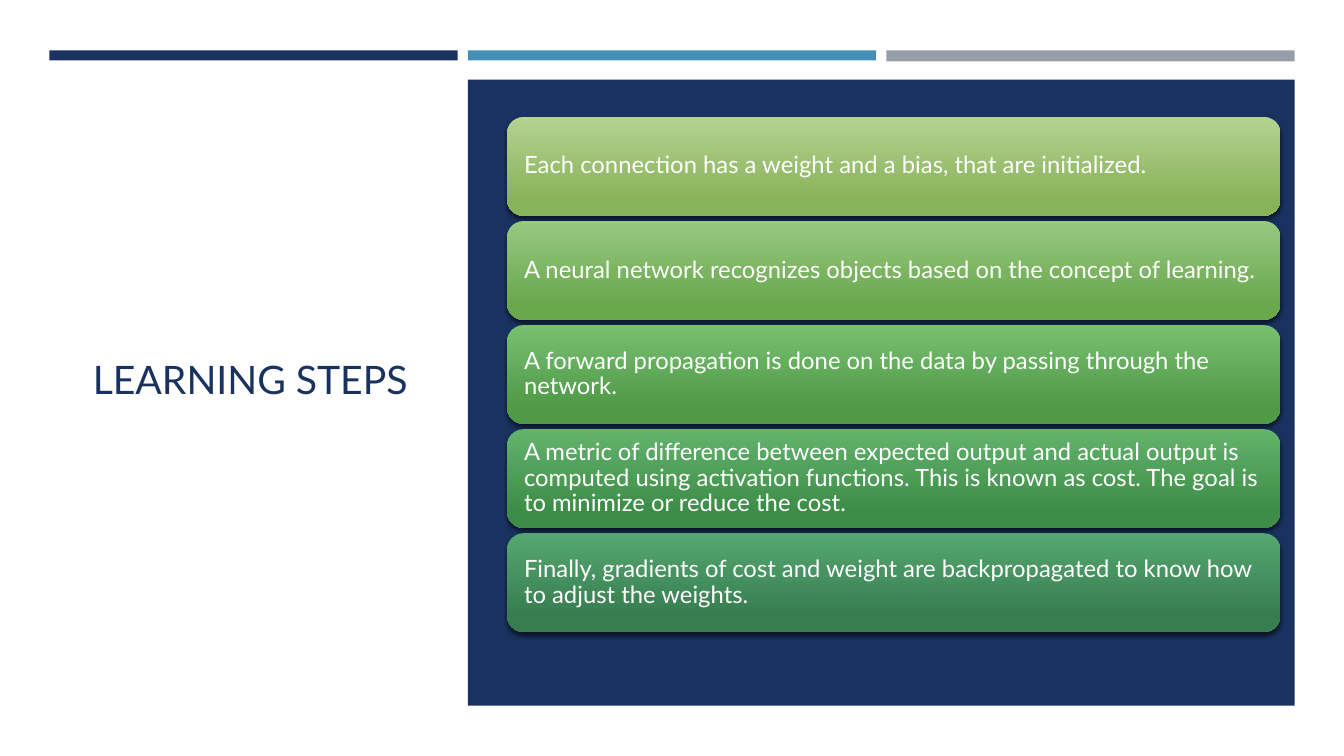
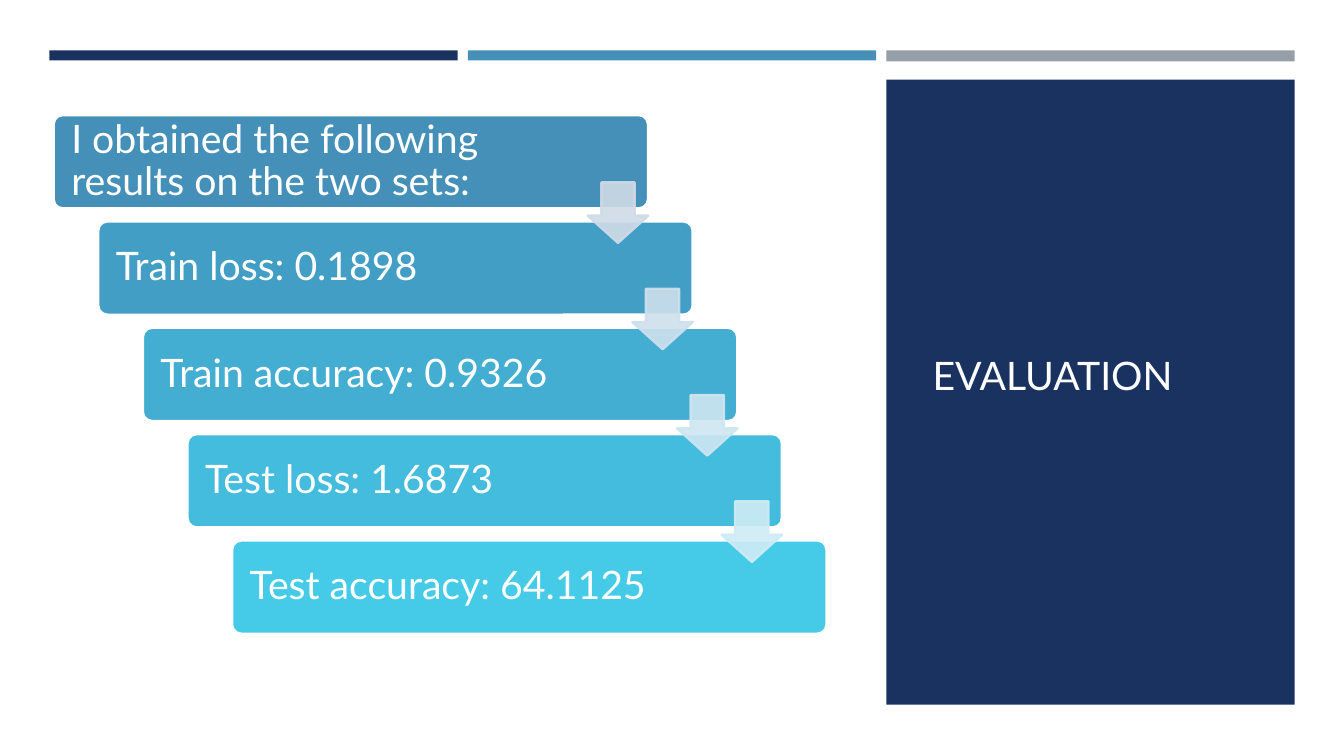
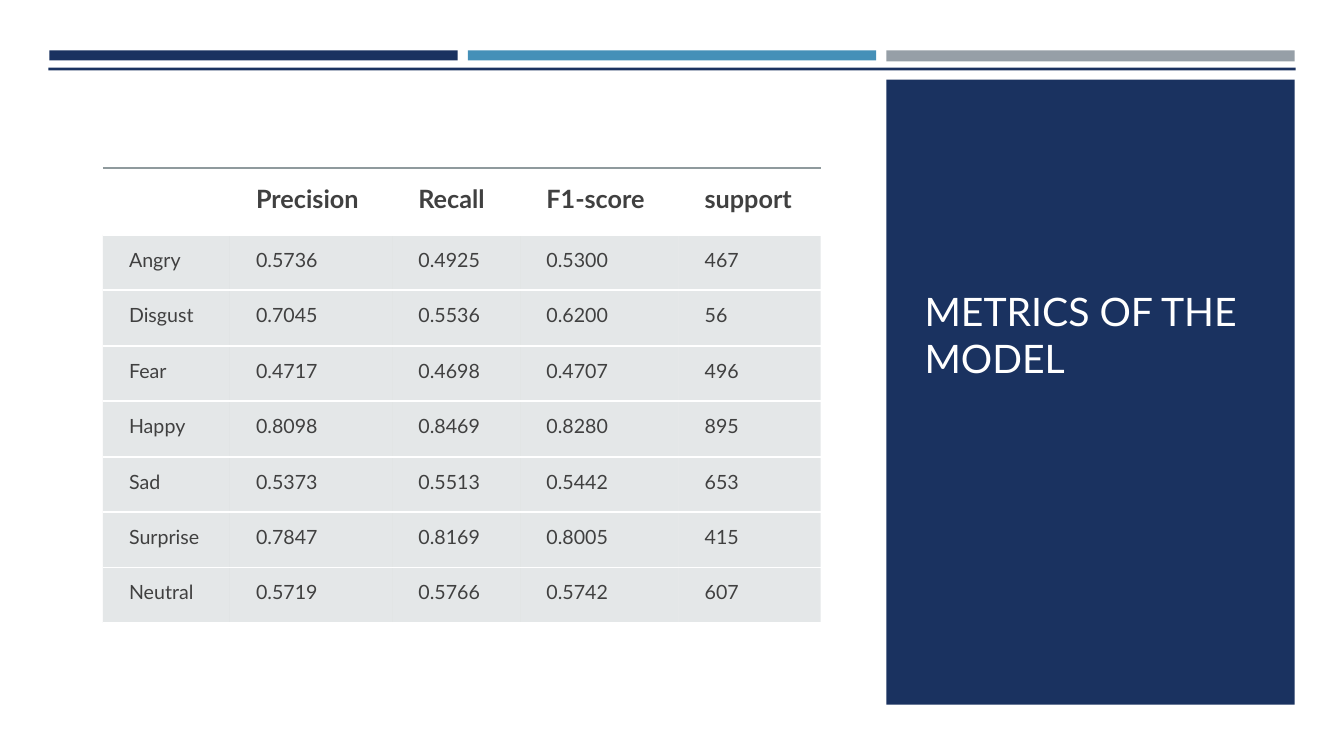
from lxml import etree
from pptx import Presentation
from pptx.dml.color import RGBColor
from pptx.enum.shapes import MSO_SHAPE
from pptx.enum.text import MSO_ANCHOR, MSO_AUTO_SIZE, PP_ALIGN
from pptx.oxml.ns import qn
from pptx.util import Inches, Pt

RECTANGLE, ROUNDED = MSO_SHAPE.RECTANGLE, MSO_SHAPE.ROUNDED_RECTANGLE
DOWN_ARROW = MSO_SHAPE.DOWN_ARROW
TOP, MIDDLE, BOTTOM = MSO_ANCHOR.TOP, MSO_ANCHOR.MIDDLE, MSO_ANCHOR.BOTTOM
LEFT, NO_AUTOFIT = PP_ALIGN.LEFT, MSO_AUTO_SIZE.NONE

# Content
LEARNING_STEPS = [  # text, gradient start, gradient end
    ("Each connection has a weight and a bias, that are initialized.", "B4D293", "89B359"),
    ("A neural network recognizes objects based on the concept of learning.",
     "97C981", "6AA84E"),
    ("A forward propagation is done on the data by passing through the network.",
     "77C070", "4F9947"),
    ("A metric of difference between expected output and actual output is computed using "
     "activation functions. This is known as cost. The goal is to minimize or reduce the cost.",
     "63B36D", "3D8D48"),
    ("Finally, gradients of cost and weight are backpropagated to know how to adjust "
     "the weights.", "55A770", "377D50"),
]
RESULTS = [  # text, fill
    ("I obtained the following results on the two sets:", "4590B8"),
    ("Train loss: 0.1898", "439EC6"),
    ("Train accuracy: 0.9326", "43ADD2"),
    ("Test loss: 1.6873", "43BCDE"),
    ("Test accuracy: 64.1125", "45CBE8"),
]
RESULT_ARROWS = ["CFDBE6", "CEE0EC", "CEE6F1", "CFECF6"]
METRICS = [
    ("", "Precision", "Recall", "F1-score", "support"),
    ("Angry", "0.5736", "0.4925", "0.5300", "467"),
    ("Disgust", "0.7045", "0.5536", "0.6200", "56"),
    ("Fear", "0.4717", "0.4698", "0.4707", "496"),
    ("Happy", "0.8098", "0.8469", "0.8280", "895"),
    ("Sad", "0.5373", "0.5513", "0.5442", "653"),
    ("Surprise", "0.7847", "0.8169", "0.8005", "415"),
    ("Neutral", "0.5719", "0.5766", "0.5742", "607"),
]
METRIC_WIDTHS = [1.26, 1.61, 1.27, 1.57, 1.41]

# Shared look
FONT = "Lato"
NAVY, BLUE, GRAY, WHITE = "1A3260", "4590B8", "969FA7", "FFFFFF"
TABLE_TEXT, TABLE_FILL, TABLE_RULE = "404040", "B4BCBE", "8F9A9D"
BARS = [(NAVY, 0.1), (BLUE, 0.1), (GRAY, 0.11)]  # colour, height
BAR_LEFT, BAR_WIDTH, BAR_STEP = 0.49, 4.05, 4.15


def rgb(value):
    return RGBColor.from_string(value)


def set_opacity(element, percent):
    for color in element.iter(qn("a:srgbClr")):
        etree.SubElement(color, qn("a:alpha"), val=str(percent * 1000))


def add_box(slide, kind, box, fill, line=None, line_width=2):
    shape = slide.shapes.add_shape(kind, *map(Inches, box))
    shape.shadow.inherit = False
    if isinstance(fill, tuple):
        shape.fill.gradient()
        shape.fill.gradient_angle = 270
        for stop, color, position in zip(shape.fill.gradient_stops, fill, (0, 0.84)):
            stop.color.rgb = rgb(color)
            stop.position = position
    else:
        shape.fill.solid()
        shape.fill.fore_color.rgb = rgb(fill)
    if line:
        shape.line.color.rgb = rgb(line)
        shape.line.width = Pt(line_width)
    else:
        shape.line.fill.background()
    return shape


def write(frame, text, size, color, bold=False, spacing=1.0):
    paragraph = frame.paragraphs[0]
    paragraph.alignment = LEFT
    paragraph.line_spacing = spacing
    run = paragraph.add_run()
    run.text = text
    run.font.name = FONT
    run.font.size = Pt(size)
    run.font.bold = bold
    run.font.color.rgb = rgb(color)


def write_in_box(shape, text, size, left, right):
    frame = shape.text_frame
    frame.word_wrap = True
    frame.vertical_anchor = MIDDLE
    frame.margin_left, frame.margin_right = Inches(left), Inches(right)
    frame.margin_top = frame.margin_bottom = Inches(0.03)
    write(frame, text, size, WHITE, spacing=0.9)


def add_soft_shadow(shape):
    effects = shape._element.spPr.find(qn("a:effectLst"))
    shadow = etree.SubElement(effects, qn("a:outerShdw"), blurRad=str(Pt(3)),
                              dist=str(Pt(2)), dir="5400000", rotWithShape="0")
    etree.SubElement(shadow, qn("a:srgbClr"), val="000000")
    set_opacity(shadow, 55)


def add_slide(title_text, title_box, panel_box, color=WHITE, anchor=MIDDLE):
    """Slide with the three top bars, a navy panel and a title above it."""
    slide = presentation.slides.add_slide(presentation.slide_layouts[5])
    for index, (bar_color, height) in enumerate(BARS):
        bar_box = (BAR_LEFT + index * BAR_STEP, 0.5, BAR_WIDTH, height)
        add_box(slide, RECTANGLE, bar_box, bar_color)
    add_box(slide, RECTANGLE, panel_box, NAVY)
    title = slide.shapes.title
    title.left, title.top, title.width, title.height = map(Inches, title_box)
    title.text_frame.auto_size = NO_AUTOFIT
    title.text_frame.word_wrap = True
    title.text_frame.vertical_anchor = anchor
    write(title.text_frame, title_text, 28, color)
    slide.shapes._spTree.append(title._element)  # bring in front of the panel
    return slide


def set_borders(cell, top, bottom):
    """Each border is (colour, opacity); the sides stay open."""
    properties = cell._tc.get_or_add_tcPr()
    for tag, border in (("lnL", None), ("lnR", None), ("lnT", top), ("lnB", bottom)):
        line = etree.SubElement(properties, qn("a:" + tag), w=str(Pt(1.5)))
        if border is None:
            etree.SubElement(line, qn("a:noFill"))
            continue
        color, opacity = border
        fill = etree.SubElement(line, qn("a:solidFill"))
        etree.SubElement(fill, qn("a:srgbClr"), val=color)
        set_opacity(line, opacity)


presentation = Presentation()
presentation.slide_width = Inches(13.33)
presentation.slide_height = Inches(7.5)
SIDE_PANEL = (8.79, 0.79, 4.05, 6.2)

# Learning steps: stacked cards
slide = add_slide("LEARNING STEPS", (0.82, 1.18, 3.34, 5.15), (4.64, 0.79, 8.2, 6.21), NAVY)
card_step = (5.29 - 1.16) / (len(LEARNING_STEPS) - 1)
for index, (text, start, end) in enumerate(LEARNING_STEPS):
    card = add_box(slide, ROUNDED, (5.03, 1.16 + index * card_step, 7.67, 0.98), (start, end))
    add_soft_shadow(card)
    write_in_box(card, text, 17, 0.12, 0.12)

# Evaluation: staircase of results joined by arrows
slide = add_slide("EVALUATION", (9.15, 1.14, 3.34, 5.15), SIDE_PANEL)
step_x = (2.3 - 0.53) / (len(RESULTS) - 1)
step_y = (5.36 - 1.14) / (len(RESULTS) - 1)
for index, (text, color) in enumerate(RESULTS):
    result_box = (0.53 + index * step_x, 1.14 + index * step_y, 5.9, 0.93)
    result = add_box(slide, ROUNDED, result_box, color, WHITE)
    result.adjustments[0] = 0.1
    write_in_box(result, text, 28, 0.15, 1.1)
for index, color in enumerate(RESULT_ARROWS):
    arrow_box = (5.83 + index * step_x, 1.81 + index * step_y, 0.6, 0.6)
    arrow = add_box(slide, DOWN_ARROW, arrow_box, color, color, 1.75)
    arrow.adjustments[0], arrow.adjustments[1] = 0.55, 0.45
    set_opacity(arrow._element.spPr, 90)

# Metrics: rule under the bars and a table
slide = add_slide("METRICS OF THE MODEL", (9.07, 1.55, 3.37, 2.28), SIDE_PANEL, anchor=BOTTOM)
add_box(slide, RECTANGLE, (0.48, 0.67, 12.37, 0.03), NAVY)
table = slide.shapes.add_table(len(METRICS), len(METRIC_WIDTHS), Inches(1.02), Inches(1.67),
                               Inches(sum(METRIC_WIDTHS)), Inches(4.51)).table
table.first_row = table.horz_banding = False
for column, width in zip(table.columns, METRIC_WIDTHS):
    column.width = Inches(width)
for row_index, values in enumerate(METRICS):
    header = row_index == 0
    table.rows[row_index].height = Inches(0.66 if header else 0.55)
    for column_index, value in enumerate(values):
        cell = table.cell(row_index, column_index)
        set_borders(cell, (TABLE_RULE, 60) if header else (WHITE, 100), (WHITE, 100))
        cell.vertical_anchor = TOP
        cell.margin_left = Inches(0.26)
        cell.margin_top = cell.margin_right = cell.margin_bottom = Inches(0.15 if header else 0.13)
        if header:
            cell.fill.background()
        else:
            cell.fill.solid()
            cell.fill.fore_color.rgb = rgb(TABLE_FILL)
            set_opacity(cell._tc.tcPr.find(qn("a:solidFill")), 35)
        if value:
            write(cell.text_frame, value, 18 if header else 14, TABLE_TEXT, bold=header)

presentation.save("out.pptx")
